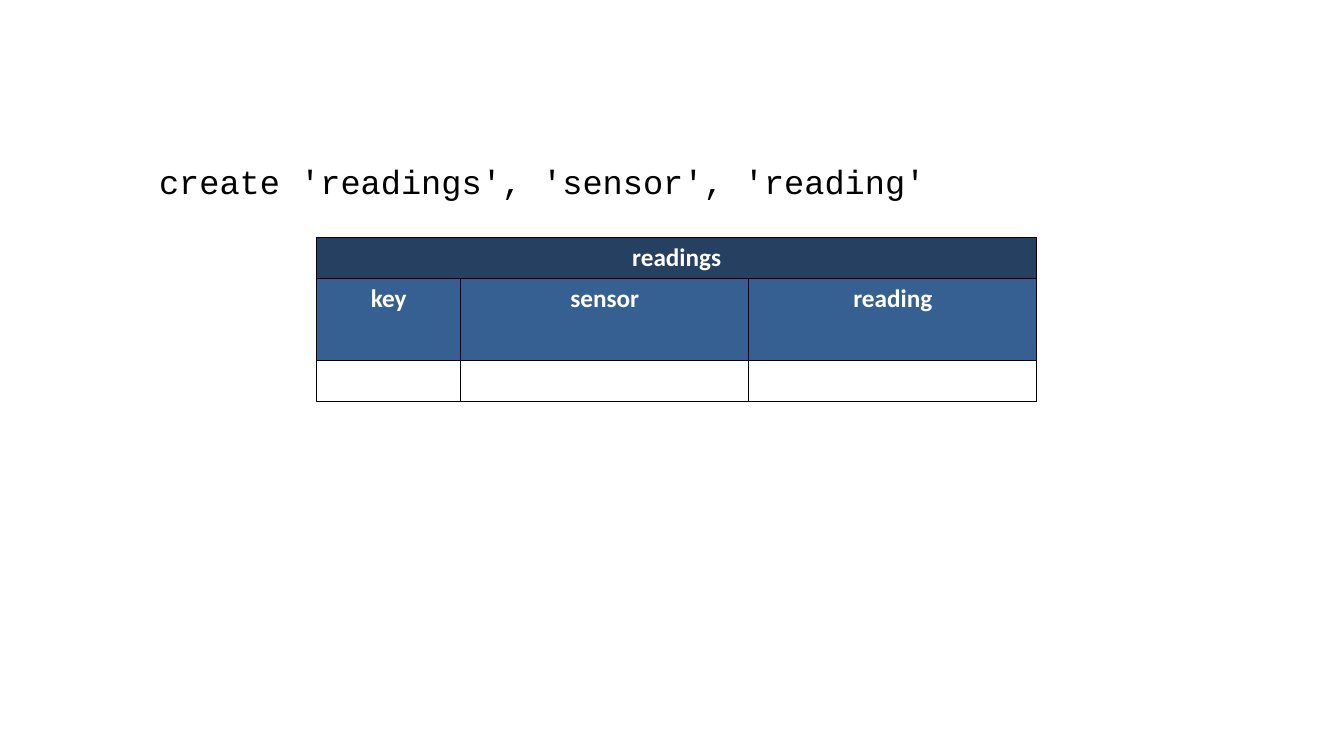
from pptx import Presentation
from pptx import util as u
from pptx.dml.color import RGBColor
from pptx.enum import text
from pptx.oxml import parse_xml
from pptx.oxml.ns import nsdecls

BLACK = RGBColor(0x00, 0x00, 0x00)
WHITE = RGBColor(0xFF, 0xFF, 0xFF)
NAVY = RGBColor(0x25, 0x40, 0x61)
BLUE = RGBColor(0x37, 0x60, 0x92)


def write(tf, content, font="Calibri", size=18, color=BLACK, bold=False,
          align=text.PP_ALIGN.LEFT):
    p = tf.paragraphs[0]
    p.alignment = align
    r = p.add_run()
    r.text = content
    r.font.name = font
    r.font.size = u.Pt(size)
    r.font.bold = bold
    r.font.color.rgb = color


class SchemaSlide:
    """Draw a table schema and the command that creates it."""

    def __init__(self, prs, border=BLACK, border_width=1):
        self.s = prs.slides.add_slide(prs.slide_layouts[6])
        self.border = border
        self.border_width = u.Pt(border_width)

    def command(self, content, left, top, width, height):
        sp = self.s.shapes.add_textbox(u.Cm(left), u.Cm(top), u.Cm(width), u.Cm(height))
        tf = sp.text_frame
        tf.word_wrap = False
        tf.auto_size = text.MSO_AUTO_SIZE.SHAPE_TO_FIT_TEXT
        write(tf, content, font="Courier New", size=24)

    def outline(self, cell):
        tc_pr = cell._tc.get_or_add_tcPr()
        for i, side in enumerate("LRTB"):
            tc_pr.insert(i, parse_xml(
                f'<a:ln{side} {nsdecls("a")} w="{self.border_width}"><a:solidFill>'
                f'<a:srgbClr val="{self.border}"/></a:solidFill></a:ln{side}>'))

    def table(self, rows, fills, left, top, widths, heights):
        sp = self.s.shapes.add_table(
            len(heights), len(widths), u.Cm(left), u.Cm(top),
            u.Cm(sum(widths)), u.Cm(sum(heights)))
        tbl = sp.table
        for column, width in zip(tbl.columns, widths):
            column.width = u.Cm(width)
        for i, (row, fill, height) in enumerate(zip(rows, fills, heights)):
            tbl.rows[i].height = u.Cm(height)
            for j, content in enumerate(row):
                cell = tbl.cell(i, j)
                cell.fill.solid()
                cell.fill.fore_color.rgb = fill
                self.outline(cell)
                if content:
                    write(cell.text_frame, content, color=WHITE, bold=True,
                          align=text.PP_ALIGN.CENTER)
        tbl.cell(0, 0).merge(tbl.cell(0, len(widths) - 1))


def main():
    prs = Presentation()
    prs.slide_width, prs.slide_height = u.Cm(33.87), u.Cm(19.05)
    slide = SchemaSlide(prs)
    slide.command("create 'readings', 'sensor', 'reading'", 3.76, 3.94, 19.96, 1.27)
    slide.table(
        rows=[("readings", "", ""), ("key", "sensor", "reading"), ("", "", "")],
        fills=[NAVY, BLUE, WHITE],
        left=7.98, top=5.99,
        widths=[3.63, 7.26, 7.26], heights=[1.03, 2.06, 1.03])
    prs.save("out.pptx")


if __name__ == "__main__":
    main()
